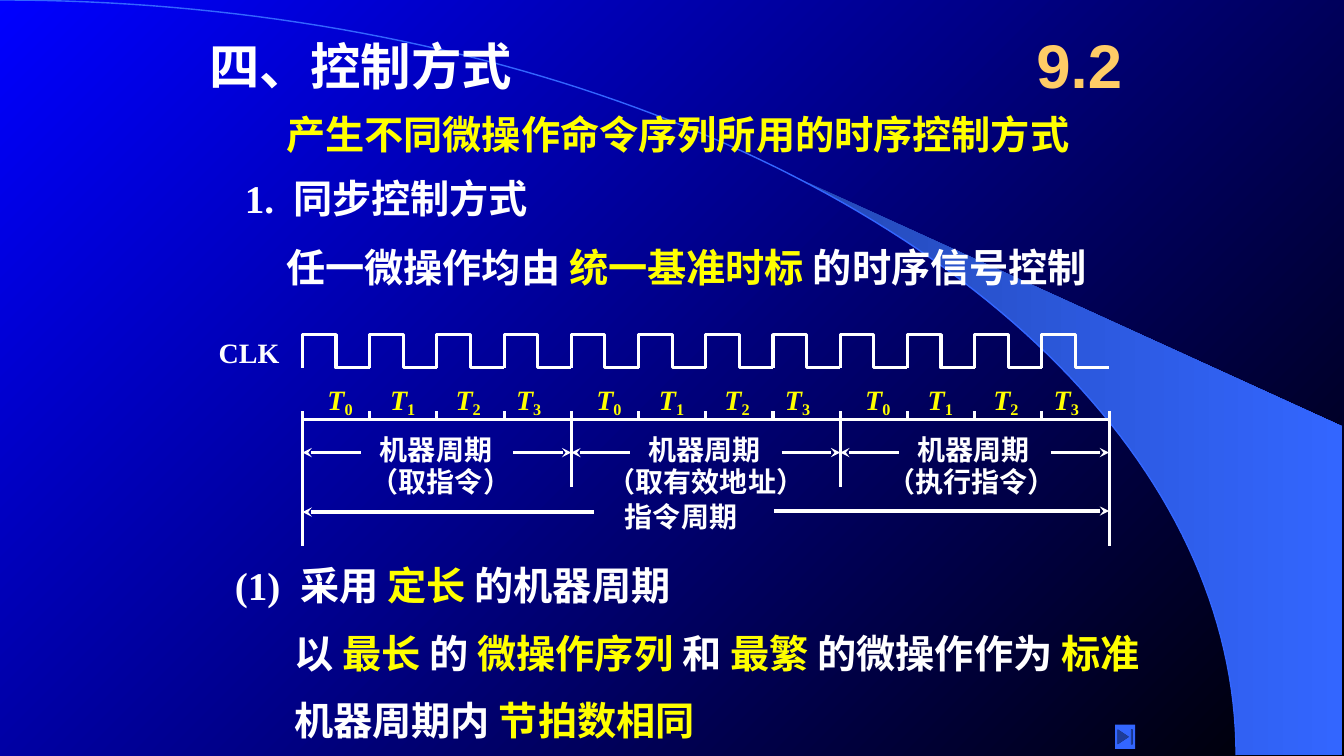
import math
from lxml import etree
from pptx import Presentation
from pptx.dml.color import RGBColor
from pptx.enum.shapes import MSO_CONNECTOR, MSO_SHAPE
from pptx.enum.text import MSO_ANCHOR, MSO_AUTO_SIZE, PP_ALIGN
from pptx.oxml.ns import qn
from pptx.util import Inches, Pt

STRAIGHT = MSO_CONNECTOR.STRAIGHT
END_BUTTON = MSO_SHAPE.ACTION_BUTTON_END
FIT_SHAPE = MSO_AUTO_SIZE.SHAPE_TO_FIT_TEXT
MIDDLE = MSO_ANCHOR.MIDDLE
CENTER = PP_ALIGN.CENTER

COLORS = {name: RGBColor.from_string(value) for name, value in {
    "white": "FFFFFF", "yellow": "FFFF00", "gold": "FFCC66", "blue": "0000FF",
    "black": "000000", "sky": "3366FF", "deep": "2449B6"}.items()}

deck = Presentation()
deck.slide_width, deck.slide_height = Inches(13.33), Inches(7.5)
page = deck.slides.add_slide(deck.slide_layouts[6])


def add_text(left, top, width, height, runs, size=20, wrap=False, tab=None):
    """Runs are (text, colour) pairs; tab is the stop after a list number."""
    box = page.shapes.add_textbox(Inches(left), Inches(top), Inches(width), Inches(height))
    box.text_frame.word_wrap = wrap
    box.text_frame.auto_size = FIT_SHAPE
    para = box.text_frame.paragraphs[0]
    if tab:
        stops = etree.SubElement(para._p.get_or_add_pPr(), qn("a:tabLst"))
        etree.SubElement(stops, qn("a:tab"), pos=str(Inches(tab)), algn="l")
    for text, color in runs:
        span = para.add_run()
        span.text = text
        span.font.name = "Times New Roman"
        span.font.size = Pt(size)
        span.font.bold = True
        span.font.color.rgb = COLORS[color]
    return box


def add_line(x1, y1, x2, y2, arrow=False):
    line = page.shapes.add_connector(STRAIGHT, Inches(x1), Inches(y1), Inches(x2), Inches(y2))
    line.line.color.rgb = COLORS["white"]
    line.line.width = Pt(2.25)
    if arrow:
        etree.SubElement(line.line._get_or_add_ln(), qn("a:tailEnd"), type="stealth")
    etree.SubElement(line._element.spPr, qn("a:effectLst"))


# Background gradient
background = page.background.fill
background.gradient()
background.gradient_angle = 315
for stop, color in zip(background.gradient_stops, ("blue", "black")):
    stop.color.rgb = COLORS[color]

# Wedge and arc share one quarter ellipse
ARC_WIDTH, ARC_HEIGHT = 12.26, 7.49
arc = [(Inches(ARC_WIDTH * math.sin(math.radians(angle))),
        Inches(ARC_HEIGHT * (1 - math.cos(math.radians(angle))))) for angle in range(91)]

corners = [(Inches(13.31), Inches(7.49)), (Inches(13.31), Inches(4.23))]
builder = page.shapes.build_freeform(*corners[0])
builder.add_line_segments(corners[1:] + arc[40:], close=True)
wedge = builder.convert_to_shape()
wedge.shadow.inherit = False
wedge.fill.gradient()
wedge.fill.gradient_angle = 0
for stop, color in zip(wedge.fill.gradient_stops, ("deep", "sky")):
    stop.color.rgb = COLORS[color]
wedge.line.fill.background()

builder = page.shapes.build_freeform(*arc[0])
builder.add_line_segments(arc[1:], close=False)
curve = builder.convert_to_shape()
curve.shadow.inherit = False
curve.fill.background()
curve.line.color.rgb = COLORS["sky"]
curve.line.width = Pt(1)

# Headings
add_text(1.98, 0.3, 3.21, 0.7, [("四、控制方式", "white")], 36)
add_text(2.74, 1.05, 8.01, 0.57, [("产生不同微操作命令序列所用的时序控制方式", "yellow")], 28)
add_text(2.33, 1.68, 4.08, 0.57, [("1.\t同步控制方式", "white")], 28, True, 0.48)
add_text(2.74, 2.36, 8.21, 0.57, [
    ("任一微操作均由 ", "white"), ("统一基准时标 ", "yellow"), ("的时序信号控制", "white")], 28)

# Clock wave
LEFT, RIGHT = 3, 11
PULSES, PULSES_PER_CYCLE = 12, 4
PULSE = (RIGHT - LEFT) / PULSES
CYCLE = PULSE * PULSES_PER_CYCLE
HIGH, LOW = Inches(3.32), Inches(3.65)
add_text(2.07, 3.28, 0.8, 0.43, [("CLK", "white")])
for number in range(PULSES):
    start, half, end = (Inches(LEFT + PULSE * (number + part)) for part in (0, 0.5, 1))
    builder = page.shapes.build_freeform(start, LOW)
    builder.add_line_segments([(start, HIGH), (half, HIGH), (half, LOW), (end, LOW)], close=False)
    pulse = builder.convert_to_shape()
    pulse.shadow.inherit = False
    pulse.fill.background()
    pulse.line.color.rgb = COLORS["white"]
    pulse.line.width = Pt(2.25)

# Time axis: long ticks bound the cycles, the outer ones the instruction
AXIS, TICK_TOP = 4.16, 4.08
add_line(LEFT, AXIS, RIGHT, AXIS)
for number in range(PULSES + 1):
    x = LEFT + PULSE * number
    bottom = AXIS
    if number in (0, PULSES):
        bottom = 5.42
    elif number % PULSES_PER_CYCLE == 0:
        bottom = 4.83
    add_line(x, TICK_TOP, x, bottom)

# Machine cycles with their beats
STEPS = [("（取指令）", 3.58, 1.6), ("（取有效地址）", 5.93, 2.16), ("（执行指令）", 8.7, 1.88)]
for cycle, (step, step_left, step_width) in enumerate(STEPS):
    start = LEFT + CYCLE * cycle
    end = start + CYCLE
    add_line(start + 0.58, 4.49, start, 4.49, True)
    add_line(end - 0.58, 4.49, end, 4.49, True)
    add_text(start + 0.67, 4.24, 1.32, 0.43, [("机器周期", "white")])
    add_text(step_left, 4.56, step_width, 0.43, [(step, "white")])
    for beat, offset in enumerate((0.15, 0.77, 1.42, 2.02)):
        label = add_text(start + offset, 3.75, 0.47, 0.44, [("T", "yellow"), (str(beat), "yellow")])
        letter, index = label.text_frame.paragraphs[0].runs
        letter.font.italic = True
        index._r.get_or_add_rPr().set("baseline", "-15000")

# Instruction cycle
add_line(5.89, 5.08, LEFT, 5.08, True)
add_line(7.68, 5.07, RIGHT, 5.07, True)
add_text(6.1, 4.91, 1.32, 0.43, [("指令周期", "white")])

# Fixed-length cycle
add_text(2.23, 5.52, 5.38, 0.57, [
    ("(1)\t采用 ", "white"), ("定长 ", "yellow"), ("的机器周期", "white")], 28, True, 0.65)
add_text(2.82, 6.19, 8.78, 0.57, [
    ("以 ", "white"), ("最长 ", "yellow"), ("的 ", "white"), ("微操作序列 ", "yellow"),
    ("和 ", "white"), ("最繁 ", "yellow"), ("的微操作作为 ", "white"), ("标准", "yellow")], 28)
add_text(2.82, 6.86, 5.51, 0.57, [("机器周期内 ", "white"), ("节拍数相同", "yellow")], 28, True)

# Section number
section = add_text(10.08, 0.17, 1.25, 0.92, [("9.2", "gold")], 44, True)
section.text_frame.auto_size = MSO_AUTO_SIZE.NONE
section.text_frame.vertical_anchor = MIDDLE
section.text_frame.paragraphs[0].alignment = CENTER
section.text_frame.paragraphs[0].runs[0].font.name = "Arial"

# End button
button = page.shapes.add_shape(END_BUTTON, Inches(11.06), Inches(7.19), Inches(0.2), Inches(0.24))
button.shadow.inherit = False
button.fill.solid()
button.fill.fore_color.rgb = COLORS["sky"]
button.line.fill.background()

deck.save("out.pptx")
